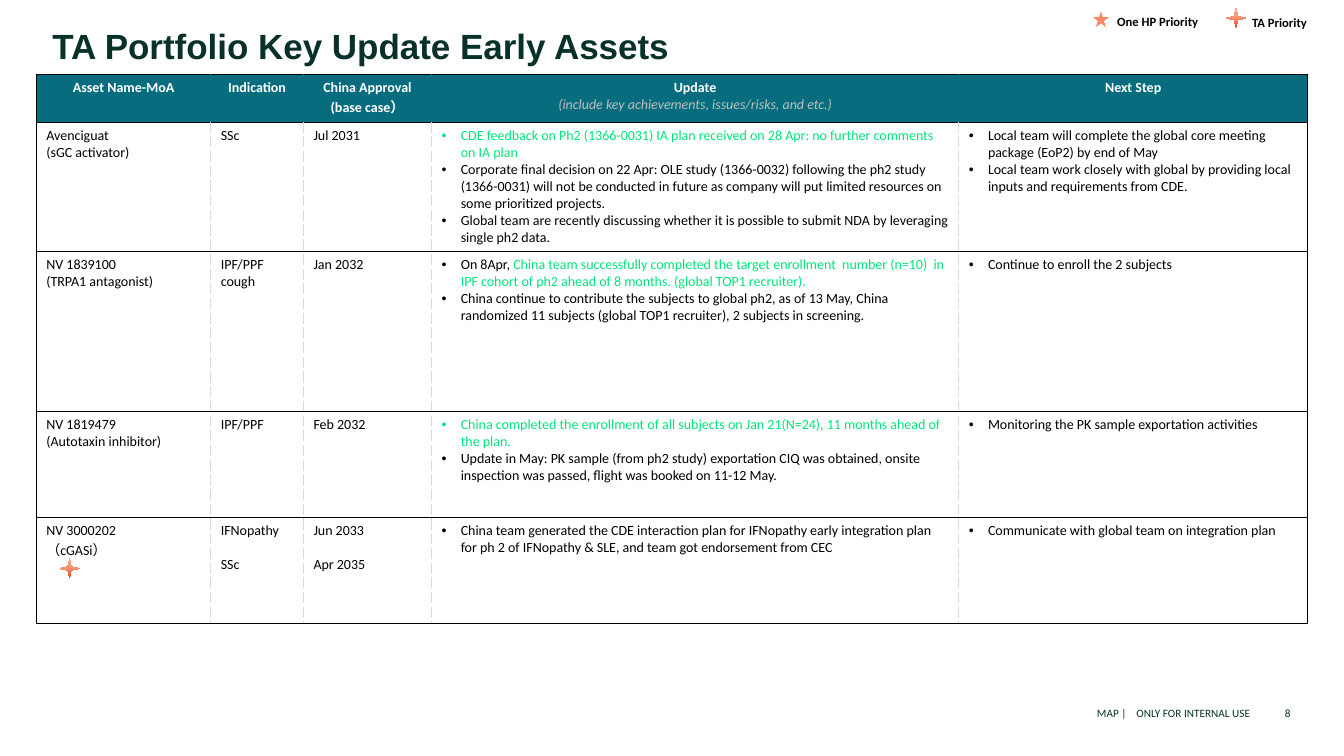
from copy import deepcopy
from dataclasses import dataclass

from lxml import etree
from pptx import Presentation
from pptx import util as u
from pptx.dml import color as clr
from pptx.enum import shapes, text
from pptx.oxml import ns

COLORS = {
    "ink": "08312A", "black": "000000", "white": "FFFFFF", "teal": "076D7E",
    "green": "00E47C", "hint": "BFBFBF", "dash": "D9D9D9", "coral": "F58A68",
    "star_dark": "DB400F", "star_mid": "F58E6D", "star_light": "F9B9A4",
}
WIDTH, HEIGHT = u.Inches(13.33), u.Inches(7.5)
PLAIN = {"name": "Calibri", "size": u.Pt(10), "bold": False, "italic": False}
HEAD = PLAIN | {"bold": True}
HINT = PLAIN | {"italic": True}
SMALL = PLAIN | {"size": u.Pt(8)}
LEGEND = HEAD | {"size": u.Pt(9)}
TITLE = {"name": "Arial", "size": u.Pt(25), "bold": True}


@dataclass
class Box:
    """Place and size in percent of the slide's width and height."""
    x: float
    y: float
    w: float
    h: float

    def emu(self) -> tuple[int, int, int, int]:
        return across(self.x), down(self.y), across(self.w), down(self.h)


@dataclass
class Run:
    text: str
    color: str = "black"
    fmt: dict | None = None


@dataclass
class Para:
    runs: list[Run]
    bullet: bool = False
    before: float = 0
    align: text.PP_ALIGN = text.PP_ALIGN.LEFT


@dataclass
class Label:
    box: Box
    para: Para
    props: dict
    spacing: float = 1.0
    tab: float = 0


@dataclass
class Star:
    box: Box
    kind: shapes.MSO_SHAPE


def across(share: float) -> int:
    return round(WIDTH * share / 100)


def down(share: float) -> int:
    return round(HEIGHT * share / 100)


def rgb(name: str) -> clr.RGBColor:
    return clr.RGBColor.from_string(COLORS[name])


def apply(target, values: dict) -> None:
    for key, value in values.items():
        setattr(target, key, value)


def write(p, para: Para) -> None:
    if para.bullet:
        pPr = p._p.get_or_add_pPr()
        indent = across(1.43)
        pPr.set("marL", str(indent))
        pPr.set("indent", str(-indent))
        etree.SubElement(pPr, ns.qn("a:buFont"), typeface="Arial")
        etree.SubElement(pPr, ns.qn("a:buChar"), char="•")
    p.alignment = para.align
    if para.before:
        p.space_before = u.Pt(para.before)
    for run in para.runs:
        r = p.add_run()
        r.text = run.text
        apply(r.font, run.fmt or PLAIN)
        r.font.color.rgb = rgb(run.color)


def fill_text(tf, paras: list[Para]) -> None:
    for i, para in enumerate(paras):
        write(tf.add_paragraph() if i else tf.paragraphs[0], para)


def add_label(s, label: Label) -> None:
    tf = s.shapes.add_textbox(*label.box.emu()).text_frame
    apply(tf, NO_MARGINS | label.props)
    p = tf.paragraphs[0]
    if label.tab:
        tabs = etree.SubElement(p._p.get_or_add_pPr(), ns.qn("a:tabLst"))
        etree.SubElement(tabs, ns.qn("a:tab"), pos=str(across(label.tab)), algn="l")
    write(p, label.para)
    p.line_spacing = label.spacing


def add_star(s, star: Star) -> None:
    sp = s.shapes.add_shape(star.kind, *star.box.emu())
    sp.shadow.inherit = False
    sp.line.fill.background()
    if star.kind == shapes.MSO_SHAPE.STAR_5_POINT:
        sp.fill.solid()
        sp.fill.fore_color.rgb = rgb("coral")
        return
    sp.fill.gradient()
    sp.fill.gradient_angle = 90
    stops = sp._element.spPr.find(".//" + ns.qn("a:gsLst"))
    stops.append(deepcopy(stops[-1]))
    shades = [(0, "star_dark"), (0.48, "star_mid"), (1, "star_light")]
    for stop, (position, shade) in zip(sp.fill.gradient_stops, shades):
        stop.position = position
        stop.color.rgb = rgb(shade)


def set_borders(cell, row: int, col: int) -> None:
    outer = ("black", 0.5, "solid")
    inner = ("dash", 1, "dash") if row else ("teal", 0.5, "solid")
    sides = {"lnL": inner if col else outer,
             "lnR": inner if col < len(COLS) - 1 else outer,
             "lnT": outer, "lnB": outer}
    tcPr = cell._tc.get_or_add_tcPr()
    for i, (side, (color, width, dash)) in enumerate(sides.items()):
        ln = etree.Element(ns.qn(f"a:{side}"), w=str(u.Pt(width)))
        solid = etree.SubElement(ln, ns.qn("a:solidFill"))
        etree.SubElement(solid, ns.qn("a:srgbClr"), val=COLORS[color])
        etree.SubElement(ln, ns.qn("a:prstDash"), val=dash)
        tcPr.insert(i, ln)


def lines(*words: str, gap: float = 0) -> list[Para]:
    return [Para([Run(word)], before=gap if i else 0) for i, word in enumerate(words)]


def points(*items: str | Run | list[Run]) -> list[Para]:
    as_runs = {str: lambda t: [Run(t)], Run: lambda r: [r], list: lambda rs: rs}
    return [Para(as_runs[type(item)](item), bullet=True) for item in items]


def heading(*runs: Run) -> list[Para]:
    return [Para([run], align=text.PP_ALIGN.CENTER) for run in runs]


def green(words: str) -> Run:
    return Run(words, "green")


# Content
NO_MARGINS = dict.fromkeys(("margin_left", "margin_top", "margin_right", "margin_bottom"), 0)
FOOT = {"word_wrap": True, "vertical_anchor": text.MSO_ANCHOR.BOTTOM}
GROW = {"word_wrap": False, "auto_size": text.MSO_AUTO_SIZE.SHAPE_TO_FIT_TEXT}
COLS = [12.98, 6.9, 9.53, 39.23, 25.96]
ROWS = [6, 16.93, 21.2, 14, 14]
HEADS = [heading(Run(name, "white", HEAD)) for name in (
    "Asset Name-MoA", "Indication", "China Approval (base case）", "Update", "Next Step")]
HEADS[3] += heading(Run("(include key achievements, issues/risks, and etc.)", "hint", HINT))
CELLS = [
    HEADS,
    [lines("Avenciguat", "(sGC activator)"), lines("SSc"), lines("Jul 2031"),
     points(green("CDE feedback on Ph2 (1366-0031) IA plan received on 28 Apr: no further comments on IA plan"),
            "Corporate final decision on 22 Apr: OLE study (1366-0032) following the ph2 study (1366-0031) will not be conducted in future as company will put limited resources on some prioritized projects.",
            "Global team are recently discussing whether it is possible to submit NDA by leveraging single ph2 data."),
     points("Local team will complete the global core meeting package (EoP2) by end of May",
            "Local team work closely with global by providing local inputs and requirements from CDE.")],
    [lines("NV 1839100", "(TRPA1 antagonist)"), lines("IPF/PPF cough"), lines("Jan 2032"),
     points([Run("On 8Apr, "), green("China team successfully completed the target enrollment  number (n=10)  in IPF cohort of ph2 ahead of 8 months. (global TOP1 recruiter).")],
            "China continue to contribute the subjects to global ph2, as of 13 May, China randomized 11 subjects (global TOP1 recruiter), 2 subjects in screening."),
     points("Continue to enroll the 2 subjects")],
    [lines("NV 1819479", "(Autotaxin inhibitor)"), lines("IPF/PPF"), lines("Feb 2032"),
     points(green("China completed the enrollment of all subjects on Jan 21(N=24), 11 months ahead of the plan."),
            "Update in May: PK sample (from ph2 study) exportation CIQ was obtained, onsite inspection was passed, flight was booked on 11-12 May."),
     points("Monitoring the PK sample exportation activities")],
    [lines("NV 3000202", "（cGASi）"), lines("IFNopathy", "SSc", gap=12),
     lines("Jun 2033", "Apr 2035", gap=12),
     points("China team generated the CDE interaction plan for IFNopathy early integration plan for ph 2 of IFNopathy & SLE, and team got endorsement from CEC"),
     points("Communicate with global team on integration plan")],
]
LABELS = [
    Label(Box(81.62, 91.07, 11.7, 4.13),
          Para([Run("MAP |\tONLY FOR INTERNAL USE", "ink", SMALL)]), FOOT, tab=2.93),
    Label(Box(93.7, 91.07, 2.33, 4.13),
          Para([Run("8", "ink", SMALL)], align=text.PP_ALIGN.RIGHT), FOOT),
    Label(Box(83.12, 1.07, 7.05, 2.53), Para([Run("One HP Priority", fmt=LEGEND)]), GROW, 1.4),
    Label(Box(93.17, 1.2, 4.88, 2.53), Para([Run("TA Priority", fmt=LEGEND)]), GROW, 1.4),
]
STARS = [
    Star(Box(81.32, 1.47, 1.2, 2.13), shapes.MSO_SHAPE.STAR_5_POINT),
    Star(Box(91.22, 1.07, 1.5, 2.67), shapes.MSO_SHAPE.STAR_4_POINT),
    Star(Box(4.43, 73.87, 1.5, 2.67), shapes.MSO_SHAPE.STAR_4_POINT),
]


def add_assets_table(s) -> None:
    box = Box(2.7, 9.87, sum(COLS), sum(ROWS))
    table = s.shapes.add_table(len(ROWS), len(COLS), *box.emu()).table
    apply(table, {"first_row": False, "horz_banding": False})
    for column, share in zip(table.columns, COLS):
        column.width = across(share)
    for i, (row, share) in enumerate(zip(table.rows, ROWS)):
        row.height = down(share)
        for j, cell in enumerate(row.cells):
            if i:
                cell.fill.background()
            else:
                cell.fill.solid()
                cell.fill.fore_color.rgb = rgb("teal")
            set_borders(cell, i, j)
            fill_text(cell.text_frame, CELLS[i][j])


def main() -> None:
    prs = Presentation()
    apply(prs, {"slide_width": WIDTH, "slide_height": HEIGHT})
    s = prs.slides.add_slide(prs.slide_layouts[5])

    # Title
    title = s.shapes.title
    apply(title, dict(zip(("left", "top", "width", "height"), Box(3.9, 3.2, 92.12, 10.53).emu())))
    apply(title.text_frame, NO_MARGINS | {"vertical_anchor": text.MSO_ANCHOR.TOP,
                                          "auto_size": text.MSO_AUTO_SIZE.NONE})
    fill_text(title.text_frame, [Para([Run("TA Portfolio Key Update Early Assets", "ink", TITLE)])])

    # Table, footer, legend and stars
    add_assets_table(s)
    for label in LABELS:
        add_label(s, label)
    for star in STARS:
        add_star(s, star)
    prs.save("out.pptx")


if __name__ == "__main__":
    main()
